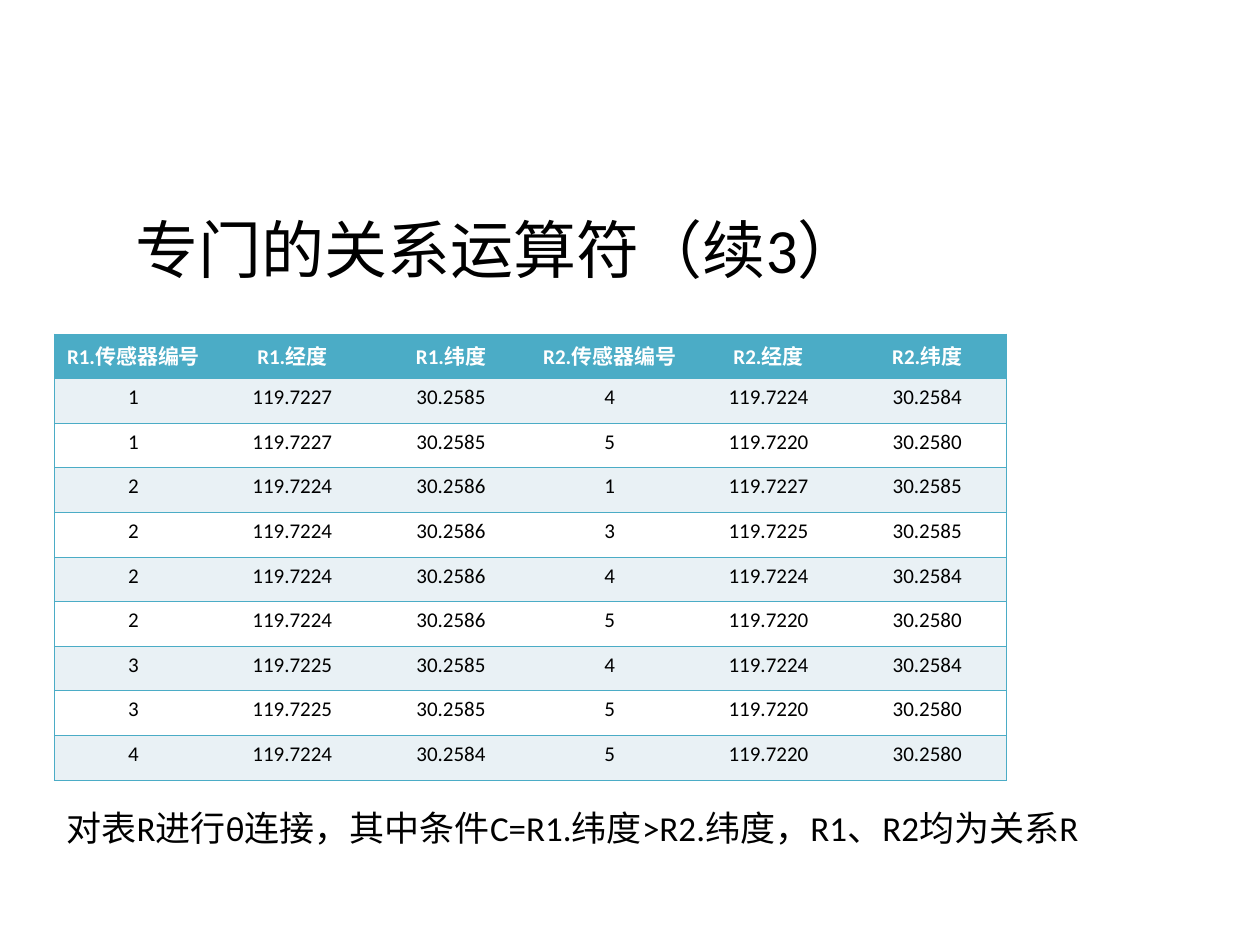
from lxml import etree
from pptx import Presentation
from pptx.dml.color import RGBColor
from pptx.enum.text import MSO_AUTO_SIZE as Fit, PP_ALIGN as Align
from pptx.oxml.ns import qn
from pptx.util import Inches, Pt

BLACK = RGBColor(0x00, 0x00, 0x00)
WHITE = RGBColor(0xFF, 0xFF, 0xFF)
TEAL = RGBColor(0x4B, 0xAC, 0xC6)
PALE = RGBColor(0xE9, 0xF1, 0xF5)
PLAIN = "{2D5ABB26-0587-4C30-8999-92F81FD0307C}"  # table style without lines

WIDE, HIGH = 10, 7.5
LEFT = 0.43

# Relation R: sensor number, longitude, latitude
SENSORS = [
    ("1", "119.7227", "30.2585"),
    ("2", "119.7224", "30.2586"),
    ("3", "119.7225", "30.2585"),
    ("4", "119.7224", "30.2584"),
    ("5", "119.7220", "30.2580"),
]
FIELDS = ("传感器编号", "经度", "纬度")


def theta_join():
    """Join R with itself where R1.纬度 > R2.纬度, under a header row."""
    head = [f"{name}.{field}" for name in ("R1", "R2") for field in FIELDS]
    return [head] + [a + b for a in SENSORS for b in SENSORS
                     if float(a[2]) > float(b[2])]


def set_font(font, size, color, bold=False):
    font.name, font.size, font.bold = "Calibri", Pt(size), bold
    font.color.rgb = color


def add_text(slide, box, parts, size):
    """Place one line of text; parts are (text, own font or None)."""
    frame = slide.shapes.add_textbox(*map(Inches, box)).text_frame
    frame.word_wrap = True
    frame.auto_size = Fit.SHAPE_TO_FIT_TEXT
    para = frame.paragraphs[0]
    set_font(para.font, size, BLACK)
    for text, face in parts:
        run = para.add_run()
        run.text = text
        if face:
            run.font.name = face


def add_lines(cell, sides):
    props = cell._tc.get_or_add_tcPr()
    for side in sides:
        line = etree.SubElement(props, qn(f"a:ln{side}"), w=str(Pt(0.45)))
        fill = etree.SubElement(line, qn("a:solidFill"))
        etree.SubElement(fill, qn("a:srgbClr"), val=str(TEAL))


def add_grid(slide, box, rows):
    """Place the joined table with equal rows and columns."""
    last = len(rows[0]) - 1
    frame = slide.shapes.add_table(len(rows), last + 1, *map(Inches, box))
    table = frame.table
    table._tbl.tblPr.find(qn("a:tableStyleId")).text = PLAIN
    for r, row in enumerate(rows):
        for c, text in enumerate(row):
            cell = table.cell(r, c)
            cell.margin_left = cell.margin_right = Inches(0.08)
            # Rules between rows, and the outer frame
            add_lines(cell, "L" * (c == 0) + "R" * (c == last) + "TB")
            cell.fill.solid()
            cell.fill.fore_color.rgb = (
                TEAL if r == 0 else PALE if r % 2 else WHITE)
            cell.text = text
            para = cell.text_frame.paragraphs[0]
            para.alignment = Align.CENTER
            set_font(para.font, 12, BLACK if r else WHITE, r == 0)


def main():
    deck = Presentation()
    deck.slide_width, deck.slide_height = Inches(WIDE), Inches(HIGH)
    slide = deck.slides.add_slide(deck.slide_layouts[6])

    # Title, table and note from top to bottom
    add_text(slide, (0.98, 1.62, 8.74, 0.7),
             [("专门的关系运算符", "Arial"), ("（续3）", None)], 36)
    add_grid(slide, (LEFT, 2.65, 7.56, 3.54), theta_join())
    add_text(slide, (LEFT, 6.35, 9.21, 0.44),
             [("对表R进行θ连接，其中条件C=R1.纬度>R2.纬度，R1、R2均为关系R",
               None)], 20)
    deck.save("out.pptx")


if __name__ == "__main__":
    main()
